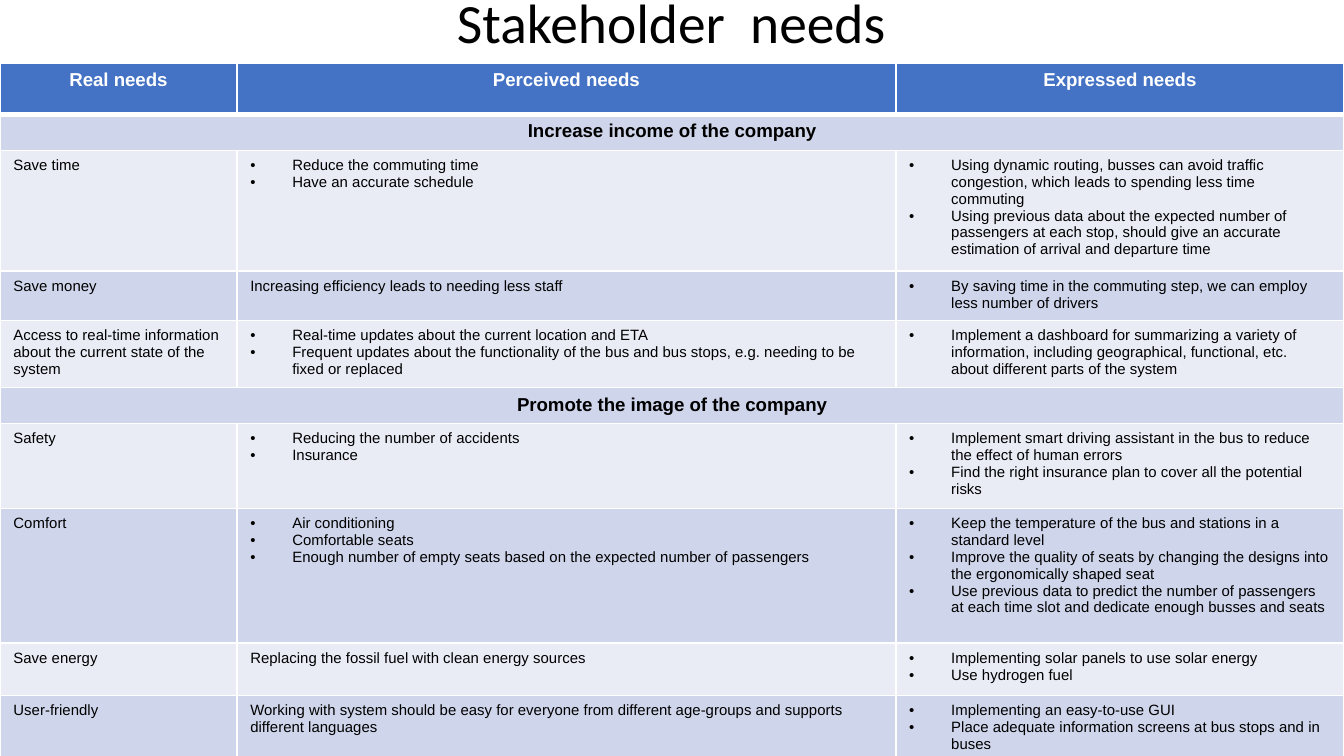
import pptx
import pptx.dml.color
import pptx.enum.text
import pptx.oxml
import pptx.oxml.ns
import pptx.util

Pt = pptx.util.Pt
RGB = pptx.dml.color.RGBColor
ALIGN = pptx.enum.text.PP_ALIGN
ANCHOR = pptx.enum.text.MSO_ANCHOR

BLACK = RGB(0x00, 0x00, 0x00)
WHITE = RGB(0xFF, 0xFF, 0xFF)
HEADER_BLUE = RGB(0x44, 0x72, 0xC4)
BAND_DARK = RGB(0xCF, 0xD5, 0xEA)
BAND_LIGHT = RGB(0xE9, 0xEB, 0xF5)

COLUMN_WIDTHS = [126.9, 353, 240.1]
ROW_HEIGHTS = [27.4, 18, 61.2, 18, 35.3, 14.4, 21.6, 72, 28.1, 38.2]

# A one-item row is a section heading; a list in a cell is bulleted.
NEEDS = [
    ["Real needs", "Perceived needs", "Expressed needs"],
    ["Increase income of the company"],
    ["Save time",
     ["Reduce the commuting time", "Have an accurate schedule"],
     ["Using dynamic routing, busses can avoid traffic congestion, which leads "
      "to spending less time commuting",
      "Using previous data about the expected number of passengers at each "
      "stop, should give an accurate estimation of arrival and departure time"]],
    ["Save money",
     "Increasing efficiency leads to needing less staff",
     ["By saving time in the commuting step, we can employ less number of "
      "drivers"]],
    ["Access to real-time information about the current state of the system",
     ["Real-time updates about the current location and ETA",
      "Frequent updates about the functionality of the bus and bus stops, "
      "e.g. needing to be fixed or replaced"],
     ["Implement a dashboard for summarizing a variety of information, "
      "including geographical, functional, etc.  about different parts of "
      "the system"]],
    ["Promote the image of the company"],
    ["Safety",
     ["Reducing the number of accidents", "Insurance"],
     ["Implement smart driving assistant in the bus to reduce the effect of "
      "human errors",
      "Find the right insurance plan to cover all the potential risks"]],
    ["Comfort",
     ["Air conditioning", "Comfortable seats",
      "Enough number of empty seats based on the expected number of passengers"],
     ["Keep the temperature of the bus and stations in a standard level",
      "Improve the quality of seats by changing the designs into the "
      "ergonomically shaped seat",
      "Use previous data to predict the number of passengers at each time "
      "slot and dedicate enough busses and seats"]],
    ["Save energy",
     "Replacing the fossil fuel with clean energy sources",
     ["Implementing solar panels to use solar energy", "Use hydrogen fuel"]],
    ["User-friendly",
     "Working with system should be easy for everyone from different "
     "age-groups and supports different languages",
     ["Implementing an easy-to-use GUI",
      "Place adequate information screens at bus stops and in buses"]],
]


class SlideBuilder:
    title_font = "Calibri"
    body_font = "Arial"
    heading_size = 10
    body_size = 8
    bullet_indent = Pt(22.5)

    def __init__(self, slide):
        self.slide = slide

    def run(self, paragraph, text, font, size, color, bold=False):
        run = paragraph.add_run()
        run.text = text
        run.font.name = font
        run.font.size = Pt(size)
        run.font.bold = bold
        run.font.color.rgb = color

    def title(self, text, left, top, width, height):
        box = self.slide.shapes.add_textbox(Pt(left), Pt(top), Pt(width), Pt(height))
        frame = box.text_frame
        frame.word_wrap = True
        frame.vertical_anchor = ANCHOR.MIDDLE
        paragraph = frame.paragraphs[0]
        paragraph.alignment = ALIGN.CENTER
        paragraph.line_spacing = 0.9
        self.run(paragraph, text, self.title_font, 29.7, BLACK)

    def bullet(self, paragraph):
        properties = paragraph._p.get_or_add_pPr()
        properties.set("marL", str(self.bullet_indent))
        properties.set("indent", str(-self.bullet_indent))
        namespace = pptx.oxml.ns.nsdecls("a")
        for xml in (f'<a:buClr {namespace}><a:srgbClr val="{BLACK}"/></a:buClr>',
                    f'<a:buFont {namespace} typeface="Arial"/>',
                    f'<a:buChar {namespace} char="•"/>'):
            properties.append(pptx.oxml.parse_xml(xml))

    def borders(self, cell, top=1, bottom=1):
        namespace = pptx.oxml.ns.nsdecls("a")
        for side, width in (("L", 1), ("R", 1), ("T", top), ("B", bottom)):
            cell._tc.get_or_add_tcPr().append(pptx.oxml.parse_xml(
                f'<a:ln{side} {namespace} w="{Pt(width)}"><a:solidFill>'
                f'<a:srgbClr val="{WHITE}"/></a:solidFill></a:ln{side}>'))

    def cell(self, cell, content, color=BLACK, heading=False):
        bulleted = isinstance(content, list)
        frame = cell.text_frame
        for i, text in enumerate(content if bulleted else [content]):
            paragraph = frame.add_paragraph() if i else frame.paragraphs[0]
            paragraph.alignment = ALIGN.CENTER if heading else ALIGN.LEFT
            if bulleted:
                self.bullet(paragraph)
            size = self.heading_size if heading else self.body_size
            self.run(paragraph, text, self.body_font, size, color, heading)

    def table(self, rows, left, top, widths, heights):
        table = self.slide.shapes.add_table(
            len(rows), len(widths), Pt(left), Pt(top),
            Pt(sum(widths)), Pt(sum(heights))).table
        for column, width in zip(table.columns, widths):
            column.width = Pt(width)
        for i, (contents, height) in enumerate(zip(rows, heights)):
            table.rows[i].height = Pt(height)
            header, section = i == 0, len(contents) == 1
            fill = HEADER_BLUE if header else BAND_DARK if i % 2 else BAND_LIGHT
            for j in range(len(widths)):
                cell = table.cell(i, j)
                self.borders(cell, top=3 if i == 1 else 1, bottom=3 if header else 1)
                cell.fill.solid()
                cell.fill.fore_color.rgb = fill
            if section:
                table.cell(i, 0).merge(table.cell(i, len(widths) - 1))
            for j, content in enumerate(contents):
                self.cell(table.cell(i, j), content,
                          WHITE if header else BLACK, header or section)


def main():
    presentation = pptx.Presentation()
    presentation.slide_width = Pt(720)
    presentation.slide_height = Pt(405)
    builder = SlideBuilder(presentation.slides.add_slide(presentation.slide_layouts[6]))

    # Title
    builder.title("Stakeholder  needs", 49.7, 0, 620, 27.4)

    # Needs by real, perceived and expressed form
    builder.table(NEEDS, 0, 33.9, COLUMN_WIDTHS, ROW_HEIGHTS)

    presentation.save("out.pptx")


if __name__ == "__main__":
    main()
